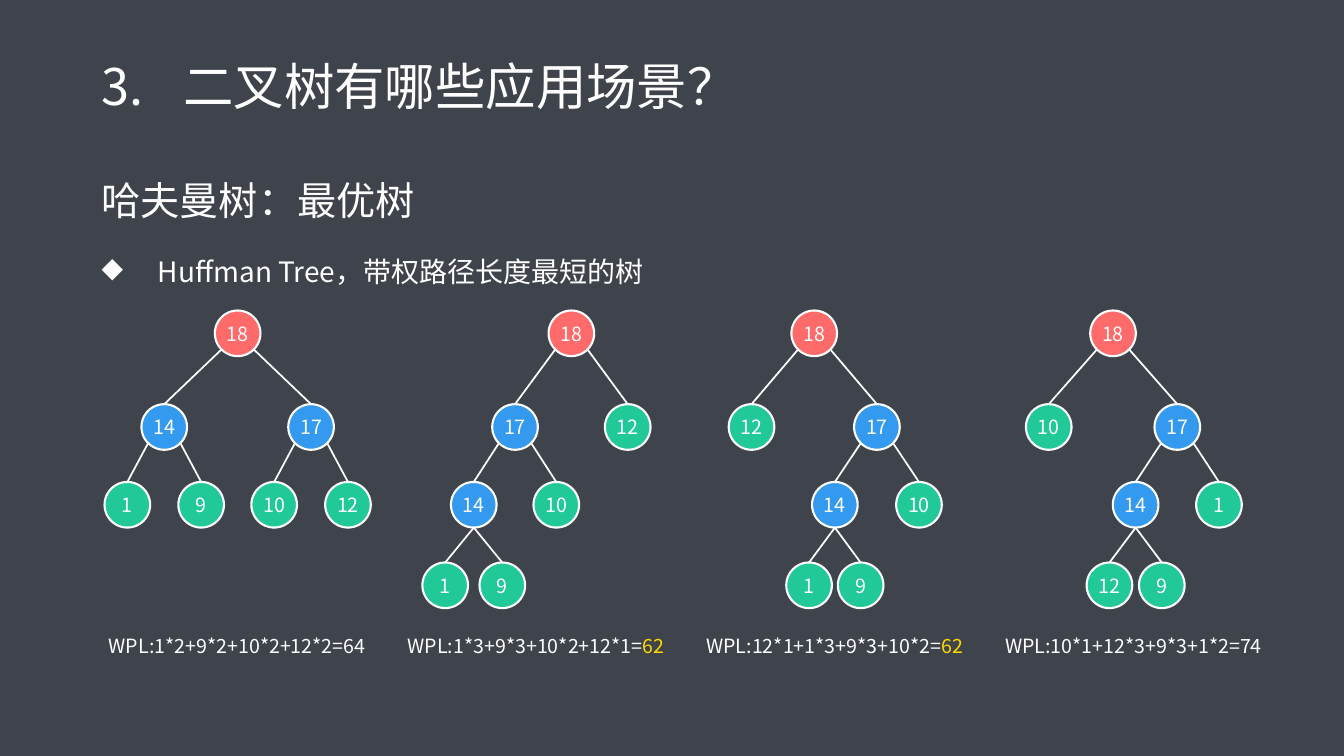
"""Build a slide comparing four binary trees by weighted path length."""
from dataclasses import dataclass

from lxml.etree import SubElement
from pptx import Presentation
from pptx.dml.color import RGBColor
from pptx.enum.shapes import MSO_CONNECTOR, MSO_SHAPE
from pptx.enum.text import MSO_ANCHOR, PP_ALIGN
from pptx.oxml.ns import qn
from pptx.util import Cm, Pt


@dataclass(frozen=True)
class Theme:
    font: str = "Noto Sans CJK SC"
    background: RGBColor = RGBColor.from_string("3F434C")
    text: RGBColor = RGBColor.from_string("FFFFFF")
    root: RGBColor = RGBColor.from_string("FF6B6B")
    branch: RGBColor = RGBColor.from_string("339AF0")
    leaf: RGBColor = RGBColor.from_string("20C997")
    best: RGBColor = RGBColor.from_string("FFD700")
    title_size: Pt = Pt(36)
    heading_size: Pt = Pt(28)
    body_size: Pt = Pt(20)
    small_size: Pt = Pt(14)
    outline: Pt = Pt(1.5)
    edge: Pt = Pt(1.25)


theme = Theme()
diameter = 1.15
radius = diameter / 2
diagonal = radius * 0.5 ** 0.5
level_centers = [8.4, 10.76, 12.72, 14.75]


def add_run(paragraph, text, size, color=theme.text):
    run = paragraph.add_run()
    run.text = text
    for name, value in {"name": theme.font, "size": size}.items():
        setattr(run.font, name, value)
    run.font.color.rgb = color
    SubElement(run._r.get_or_add_rPr(), qn("a:ea"), typeface=theme.font)


def add_node(shapes, tree, center_x, spreads, level=0):
    weight, *children = tree
    center_y = level_centers[level]
    node = shapes.add_shape(
        MSO_SHAPE.OVAL, Cm(center_x - radius), Cm(center_y - radius), Cm(diameter), Cm(diameter)
    )
    node.shadow.inherit = False
    node.fill.solid()
    node.fill.fore_color.rgb = theme.root if level == 0 else theme.branch if children else theme.leaf
    node.line.color.rgb = theme.text
    node.line.width = theme.outline
    node_format = {"margin_left": 0, "margin_right": 0, "vertical_anchor": MSO_ANCHOR.MIDDLE}
    for name, value in node_format.items():
        setattr(node.text_frame, name, value)
    paragraph = node.text_frame.paragraphs[0]
    paragraph.alignment = PP_ALIGN.CENTER
    add_run(paragraph, str(weight), theme.small_size)

    start_x, start_y = (0, radius) if level == 2 else (diagonal, diagonal)
    for side, child in zip((-1, 1), children):
        child_x = center_x + side * spreads[level]
        child_node = add_node(shapes, child, child_x, spreads, level + 1)
        edge = shapes.add_connector(
            MSO_CONNECTOR.STRAIGHT,
            Cm(center_x + side * start_x), Cm(center_y + start_y),
            Cm(child_x), Cm(level_centers[level + 1] - radius),
        )
        edge.end_connect(child_node, 0)
        edge.line.color.rgb = theme.text
        edge.line.width = theme.edge
        SubElement(edge._element.spPr, qn("a:effectLst"))
    return node


presentation = Presentation()
presentation.slide_width = Cm(33.87)
presentation.slide_height = Cm(19.05)
slide = presentation.slides.add_slide(presentation.slide_layouts[6])
slide.background.fill.solid()
slide.background.fill.fore_color.rgb = theme.background

body = slide.shapes.add_textbox(Cm(2.31), Cm(3.73), Cm(29.21), Cm(14.27))
body.text_frame.word_wrap = True
heading = body.text_frame.paragraphs[0]
heading.line_spacing = 1.5
add_run(heading, "哈夫曼树：最优树", theme.heading_size)

definition = body.text_frame.add_paragraph()
for name, value in {"level": 1, "line_spacing": 1.5, "space_before": Pt(10)}.items():
    setattr(definition, name, value)
add_run(definition, "Huffman Tree，带权路径长度最短的树", theme.body_size)

title = slide.shapes.add_textbox(Cm(2.31), Cm(0.74), Cm(29.21), Cm(3))
title.text_frame.word_wrap = True
title.text_frame.vertical_anchor = MSO_ANCHOR.MIDDLE
question = title.text_frame.paragraphs[0]
question.line_spacing = 0.9
add_run(question, "二叉树有哪些应用场景？", theme.title_size)

bullets = [
    (definition, Cm(1.42), "a:buChar", {"char": "◆"}),
    (question, Cm(2.06), "a:buAutoNum", {"type": "arabicPeriod", "startAt": "3"}),
]
for paragraph, indent, tag, attributes in bullets:
    properties = paragraph._p.get_or_add_pPr()
    properties.set("marL", str(indent))
    properties.set("indent", str(-indent))
    SubElement(properties, qn(tag), attributes)

trees = [
    ((18, (14, (1,), (9,)), (17, (10,), (12,))),
     5.99, (1.85, 0.93), "1*2+9*2+10*2+12*2", 64),
    ((18, (17, (14, (1,), (9,)), (10,)), (12,)),
     14.4, (1.42, 1.04, 0.72), "1*3+9*3+10*2+12*1", 62),
    ((18, (12,), (17, (14, (1,), (9,)), (10,))),
     20.52, (1.58, 1.06, 0.65), "12*1+1*3+9*3+10*2", 62),
    ((18, (10,), (17, (14, (12,), (9,)), (1,))),
     28.05, (1.62, 1.05, 0.66), "10*1+12*3+9*3+1*2", 74),
]
best_length = min(length for *_, length in trees)
for index, (tree, root_x, spreads, terms, length) in enumerate(trees):
    group = slide.shapes.add_group_shape()
    add_node(group.shapes, tree, root_x, spreads)
    label = group.shapes.add_textbox(Cm(2.31 + index * 7.53), Cm(15.85), Cm(7.34), Cm(0.86))
    label.text_frame.word_wrap = True
    paragraph = label.text_frame.paragraphs[0]
    paragraph.alignment = PP_ALIGN.CENTER
    if length == best_length:
        add_run(paragraph, f"WPL:{terms}=", theme.small_size)
        add_run(paragraph, str(length), theme.small_size, theme.best)
    else:
        add_run(paragraph, f"WPL:{terms}={length}", theme.small_size)

presentation.save("out.pptx")
